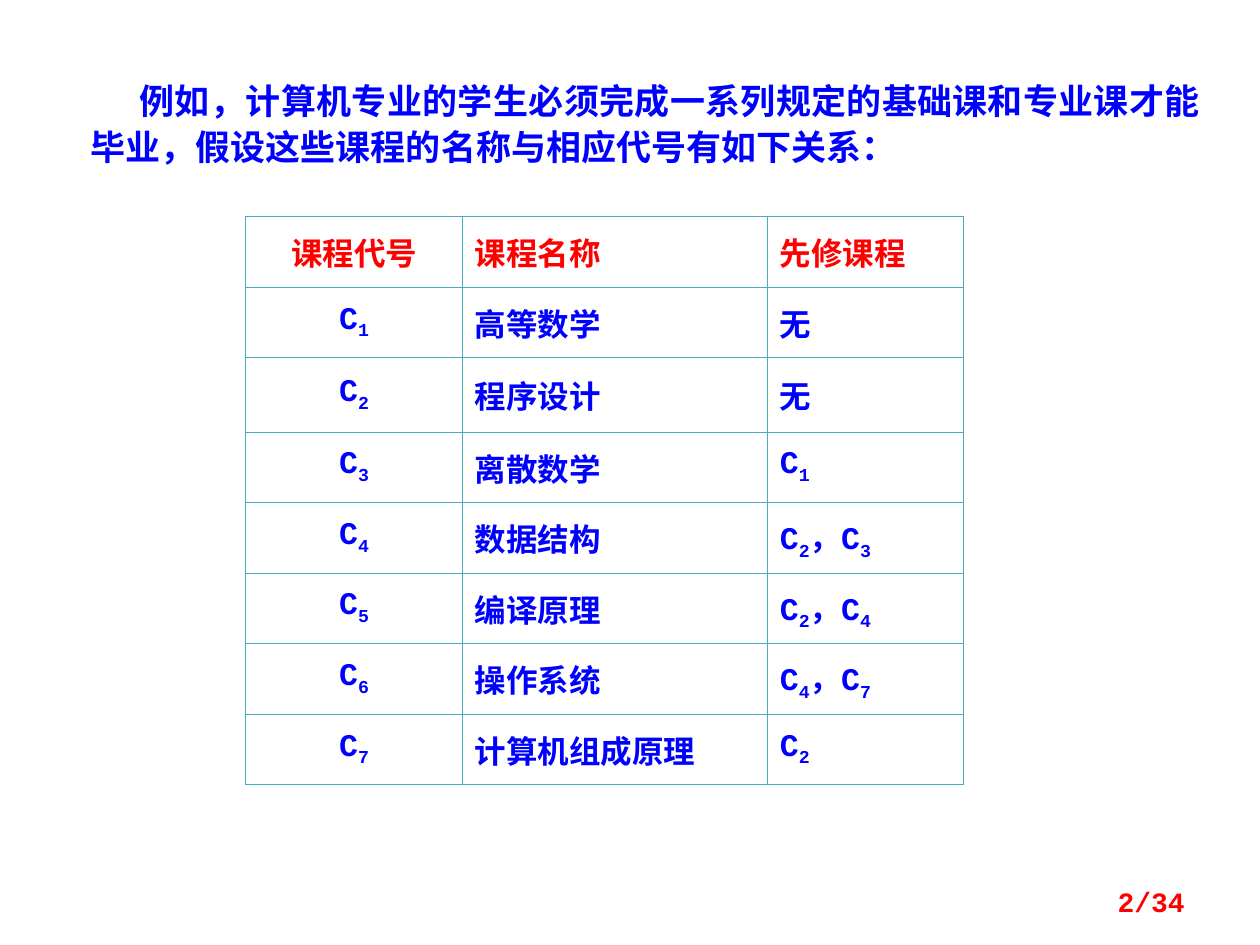
from itertools import groupby

from lxml import etree
from pptx import Presentation
from pptx import util as u
from pptx.dml.color import RGBColor
from pptx.enum import text
from pptx.oxml.ns import qn

CJK, MONO, SERIF = "Noto Sans CJK SC", "Courier New", "Times New Roman"
BLUE, RED, WHITE, BORDER = "0000FF", "FF0000", "FFFFFF", "46AAC5"
AL = text.PP_ALIGN

COL_WIDTHS = [1.72, 2.42, 1.56]
ROW_HEIGHTS = [0.56, 0.56, 0.59] + [0.56] * 5
# Digits in a course code are drawn as subscripts
COURSES = [
    ("课程代号", "课程名称", "先修课程"),
    ("C1", "高等数学", "无"),
    ("C2", "程序设计", "无"),
    ("C3", "离散数学", "C1"),
    ("C4", "数据结构", "C2，C3"),
    ("C5", "编译原理", "C2，C4"),
    ("C6", "操作系统", "C4，C7"),
    ("C7", "计算机组成原理", "C2"),
]


def rgb(color):
    return RGBColor.from_string(color)


def format_run(r, size, color, font):
    r.font.size, r.font.bold, r.font.name = u.Pt(size), True, font
    r.font.color.rgb = rgb(color)
    ea = etree.Element(qn("a:ea"), typeface=CJK)
    r.font._element.find(qn("a:latin")).addnext(ea)


def add_text(s, box, content, size, color, font, align):
    tf = s.shapes.add_textbox(*map(u.Inches, box)).text_frame
    tf.word_wrap = True
    p = tf.paragraphs[0]
    p.text, p.alignment = content, align
    format_run(p.runs[0], size, color, font)
    return tf


def set_borders(cell):
    tcPr = cell._tc.get_or_add_tcPr()
    for i, side in enumerate(("lnL", "lnR", "lnT", "lnB")):
        ln = etree.Element(qn("a:" + side), w=str(u.Pt(0.75)))
        fill = etree.SubElement(ln, qn("a:solidFill"))
        etree.SubElement(fill, qn("a:srgbClr"), val=BORDER)
        tcPr.insert(i, ln)


def fill_cell(cell, content, color, font, align):
    cell.fill.solid()
    cell.fill.fore_color.rgb = rgb(WHITE)
    cell.vertical_anchor = text.MSO_ANCHOR.MIDDLE
    set_borders(cell)
    p = cell.text_frame.paragraphs[0]
    p.alignment = align
    for is_sub, chars in groupby(content, str.isdigit):
        r = p.add_run()
        r.text = "".join(chars)
        format_run(r, 18, color, font)
        if is_sub:
            r.font._element.set("baseline", "-25000")


def add_course_table(s):
    box = (1.95, 1.72, sum(COL_WIDTHS), sum(ROW_HEIGHTS))
    table = s.shapes.add_table(len(COURSES), len(COL_WIDTHS),
                               *map(u.Inches, box)).table
    table.horz_banding = False
    for col, width in zip(table.columns, COL_WIDTHS):
        col.width = u.Inches(width)
    for i, (row, height) in enumerate(zip(table.rows, ROW_HEIGHTS)):
        row.height = u.Inches(height)
        color, font = (BLUE, MONO) if i else (RED, CJK)
        for j, content in enumerate(COURSES[i]):
            fill_cell(row.cells[j], content, color, font,
                      AL.JUSTIFY if j else AL.CENTER)


def main():
    prs = Presentation()
    prs.slide_width, prs.slide_height = u.Inches(10), u.Inches(7.5)
    s = prs.slides.add_slide(prs.slide_layouts[6])

    # Course table
    add_course_table(s)

    # Introduction with a first-line indent
    tf = add_text(
        s, (0.62, 0.55, 9, 0.81),
        "例如，计算机专业的学生必须完成一系列规定的基础课和专业课才能毕业，"
        "假设这些课程的名称与相应代号有如下关系：",
        20, BLUE, SERIF, AL.JUSTIFY)
    p = tf.paragraphs[0]
    p.line_spacing = 1.1
    p._p.get_or_add_pPr().set("indent", str(u.Inches(0.39)))

    # Page number
    tf = add_text(s, (7.17, 6.95, 2.33, 0.4), "2/34", 16, RED, MONO, AL.RIGHT)
    tf.vertical_anchor = text.MSO_ANCHOR.MIDDLE

    prs.save("out.pptx")


if __name__ == "__main__":
    main()
